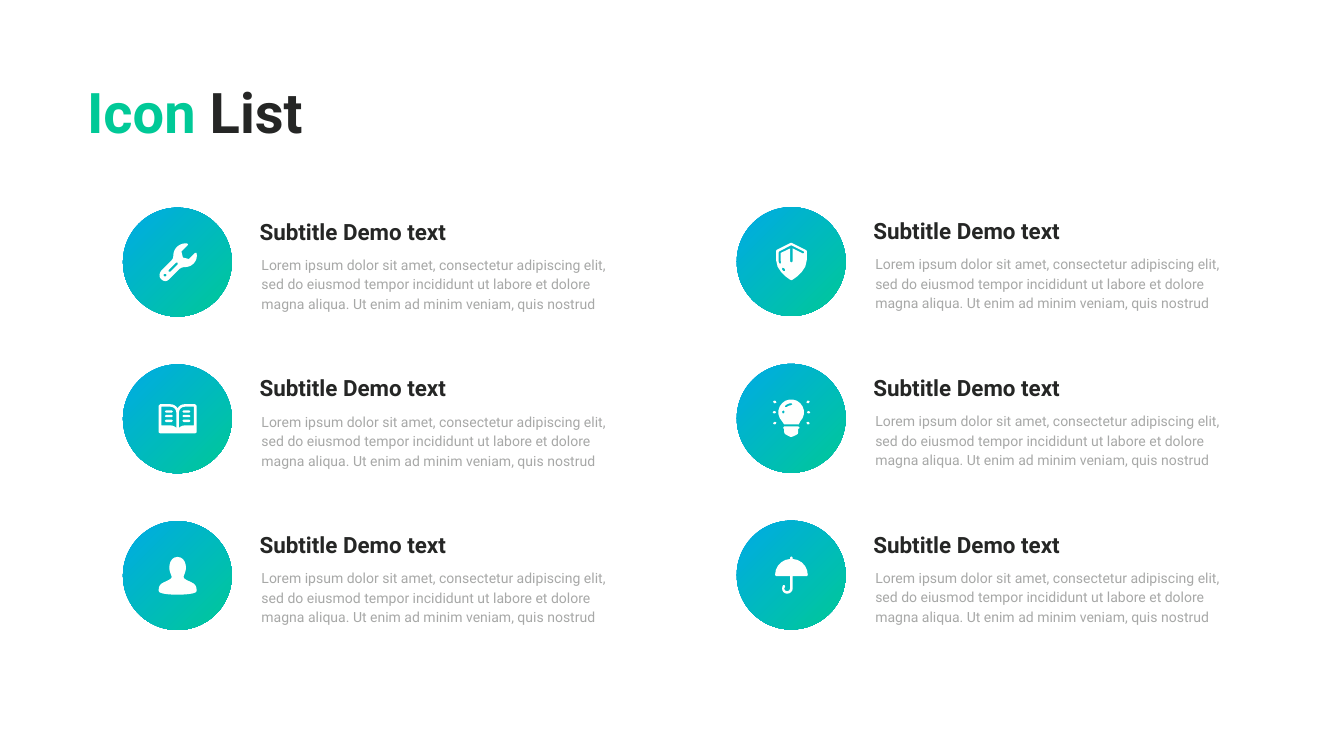
from dataclasses import dataclass
from math import atan2, cos, dist, pi, sin

from pptx import Presentation
from pptx.dml.color import RGBColor
from pptx.enum.shapes import MSO_SHAPE
from pptx.enum.text import MSO_ANCHOR, MSO_AUTO_SIZE
from pptx.util import Inches, Pt


@dataclass(frozen=True)
class Theme:
    font: str = "Roboto"
    blue: str = "00AAE5"
    green: str = "00C997"
    dark: str = "252625"
    grey: str = "A7A8A7"
    white: str = "FEFFFE"
    title: int = 80
    head: int = 32
    body: int = 20
    lead: int = 28


THEME = Theme()
HEAD = "Subtitle Demo text"
BODY = ("Lorem ipsum dolor sit amet, consectetur adipiscing elit, sed do eiusmod "
        "tempor incididunt ut labore et dolore magna aliqua. Ut enim ad minim "
        "veniam, quis nostrud")
DISC = 2.16  # circle diameter
MID = 108.5  # mirror axis of the icons


# Icon outlines, in hundredths of an inch from the corner of the circle
def curve(a, b, c, d):
    """Points along a cubic curve, without its first point; more if it is long."""
    steps = min(5, 1 + int(dist(a, d) / 4.5))
    for i in range(1, steps + 1):
        t = i / steps
        u = 1 - t
        yield tuple(u**3 * p + 3 * u * u * t * q + 3 * u * t * t * r + t**3 * s
                    for p, q, r, s in zip(a, b, c, d))


def trace(code):
    """Turn "x y L x y C x y x y x y" into a list of points."""
    marks = code.replace("L", "|L").replace("C", "|C").split("|")
    points = [tuple(map(float, marks[0].split()))]
    for mark in marks[1:]:
        nums = list(map(float, mark[1:].split()))
        pairs = list(zip(nums[::2], nums[1::2]))
        if mark[0] == "L":
            points += pairs
        else:
            points += curve(points[-1], *pairs)
    return points


def bar(x1, y1, x2, y2, r=2.4, steps=2):
    """Bar with round ends, running between two points."""
    turn = atan2(y2 - y1, x2 - x1)
    points = []
    for x, y, start in ((x2, y2, turn - pi / 2), (x1, y1, turn + pi / 2)):
        for i in range(steps + 1):
            a = start + pi * i / steps
            points.append((x + r * cos(a), y + r * sin(a)))
    return points


def flip(points):
    return [(2 * MID - x, y) for x, y in points]


def both(shapes):
    return shapes + [flip(s) for s in shapes]


WRENCH = [
    trace("128 75 L116 87 L119 99 L131 102 L143 90 C144 89 145 89 146 90"
          "C148 99 145 106 140 111 C135 116 129 118 123 118"
          "C119 118 116 119 113 121 L92 142 C90 144 87 146 84 146"
          "C80 145 77 144 75 141 C71 137 72 130 76 125 L96 105"
          "C99 102 100 99 100 95 C100 89 102 83 107 78 C112 73 120 70 127 71"
          "C128 72 129 72 129 73"),
    bar(83.5, 134, 83.5, 134, r=3, steps=3),
    bar(92.5, 125.5, 107, 111),
]
BOOK = [
    trace("143 79 L122 79 C117 79 111 82 108.5 87 C105 82 100 79 94 79 L74 79"
          "C72 79 71 80 71 82 L71 135 C71 136 72 137 74 137 L143 137"
          "C145 137 146 136 146 135 L146 82 C146 80 145 79 143 79"),
] + both(
    [trace("94 121 L76 121 L76 84 L94 84 C101 84 106 89 106 96 L106 126"
           "C103 123 99 121 94 121")]
    + [bar(85.4, y, 96.6, y) for y in (93.5, 102.5, 112)])
PERSON = [
    trace("137 122 L125 116 C123 115 122 114 121 113 C120 111 120 109 121 108"
          "C123 103 125 98 125 92 C125 82 120 71 108 71 C97 71 92 82 92 92"
          "C92 98 94 103 96 108 C97 109 97 111 96 113 C95 114 94 115 92 116"
          "L80 122 C75 124 71 129 71 135 L71 139 C71 144 91 146 108 146"
          "C125 146 146 144 146 139 L146 135 C146 129 142 124 137 122"),
]
SHIELD = [
    trace("108 145 C107 145 78 128 78 105 L78 87 L79 85 L107 71 L109 71"
          "L137 85 L139 87 L139 105 C139 128 111 144 109 145"),
    trace("96 127 C97 126 97 125 96 124 L94 121 C93 120 91 120 90 120"
          "C89 121 89 123 90 124 L93 127 C94 128 95 128 96 127"),
    trace("133 88 L109 76 L107 76 L84 88 L83 90"
          "L83 105 C83 107 83 109 84 111 C84 112 85 113 86 113"
          "C88 113 88 111 88 110 C88 108 87 107 87 105 L87 91 L106 82 L106 108"
          "C106 109 107 110 108 110 C110 110 111 109 111 108 L111 82 L131 92"
          "C132 93 133 92 134 91 C134 90 134 88 133 88"),
]
BULB = [
    trace("90 114 C80 104 80 88 90 78 C100 68 116 68 126 78"
          "C136 88 136 104 126 114 L123 120 L94 120 L90 114"),
    trace("122 124 L94 124 L92 127 L94 129 L94 135 C94 138 96 140 99 141"
          "L107 145 L109 145 L118 141 C121 140 122 138 122 135 L122 129"
          "L125 127 L122 124"),
    bar(92.3, 96.5, 92.6, 94.4),
    trace("99 86 C101 84 105 82 108 82 L111 80 L108 78"
          "C104 78 99 80 96 83 L95 86 L99 86"),
] + both([bar(73.5, 96, 75.6, 96), bar(74.5, 75, 76.5, 76),
          bar(74.5, 118, 76.5, 117)])
BROLLY = [
    trace("111 76 L111 73 L108 71 L106 73 L106 76"
          "C89 77 76 91 76 108 L78 110 L106 110 L106 135"
          "C106 138 103 140 100 140 C97 140 94 138 94 135 C94 133 95 132 96 131"
          "L95 128 L92 128 C91 130 90 132 90 135"
          "C90 140 94 145 100 145 C106 145 111 140 111 135 L111 110 L139 110"
          "L141 108 C141 91 128 77 111 76"),
]


def write(slide, runs, box, size, bold=False, anchor=MSO_ANCHOR.TOP,
          inset=None, lead=None):
    """Place a text box; runs is a list of (text, colour)."""
    frame = slide.shapes.add_textbox(*map(Inches, box)).text_frame
    frame.word_wrap = True
    frame.auto_size = MSO_AUTO_SIZE.SHAPE_TO_FIT_TEXT
    frame.vertical_anchor = anchor
    if inset is not None:
        frame.margin_left = frame.margin_right = Inches(inset)
        frame.margin_top = frame.margin_bottom = Inches(inset)
    para = frame.paragraphs[0]
    if lead:
        para.line_spacing = Pt(lead)
    for text, color in runs:
        run = para.add_run()
        run.text = text
        font = run.font
        font.name, font.size, font.bold = THEME.font, Pt(size), bold
        font.color.rgb = RGBColor.from_string(color)


def badge(slide, x, y, icon):
    # Gradient circle
    disc = slide.shapes.add_shape(MSO_SHAPE.OVAL, *map(Inches, (x, y, DISC, DISC)))
    disc.shadow.inherit = False
    disc.line.fill.background()
    disc.fill.gradient()
    disc.fill.gradient_angle = 315
    for stop, color in zip(disc.fill.gradient_stops, (THEME.blue, THEME.green)):
        stop.color.rgb = RGBColor.from_string(color)
    # White icon, all outlines in one shape so that inner ones cut holes
    pen = None
    for part in icon:
        points = [(Inches(x + px / 100), Inches(y + py / 100)) for px, py in part]
        if pen is None:
            pen = slide.shapes.build_freeform(*points[0])
        else:
            pen.move_to(*points[0])
        pen.add_line_segments(points[1:], close=True)
    mark = pen.convert_to_shape()
    mark.shadow.inherit = False
    mark.line.fill.background()
    mark.fill.solid()
    mark.fill.fore_color.rgb = RGBColor.from_string(THEME.white)


def item(slide, x, y, icon):
    badge(slide, x, y, icon)
    write(slide, [(HEAD, THEME.dark)], (x + 2.65, y + 0.14, 5.44, 0.65),
          THEME.head, bold=True, anchor=MSO_ANCHOR.MIDDLE, inset=0.06)
    write(slide, [(BODY, THEME.grey)], (x + 2.65, y + 0.86, 7.52, 1.25),
          THEME.body, lead=THEME.lead)


def main():
    deck = Presentation()
    deck.slide_width, deck.slide_height = Inches(26.67), Inches(15)
    slide = deck.slides.add_slide(deck.slide_layouts[6])
    write(slide, [("Icon", THEME.green), (" List", THEME.dark)],
          (1.67, 1.48, 10.37, 1.46), THEME.title, bold=True, inset=0.06)
    # Two columns of three items
    cols = ((2.44, 4.12, (WRENCH, BOOK, PERSON)),
            (14.62, 4.11, (SHIELD, BULB, BROLLY)))
    for x, top, icons in cols:
        for row, icon in enumerate(icons):
            item(slide, x, top + 3.11 * row, icon)
    deck.save("out.pptx")


if __name__ == "__main__":
    main()
